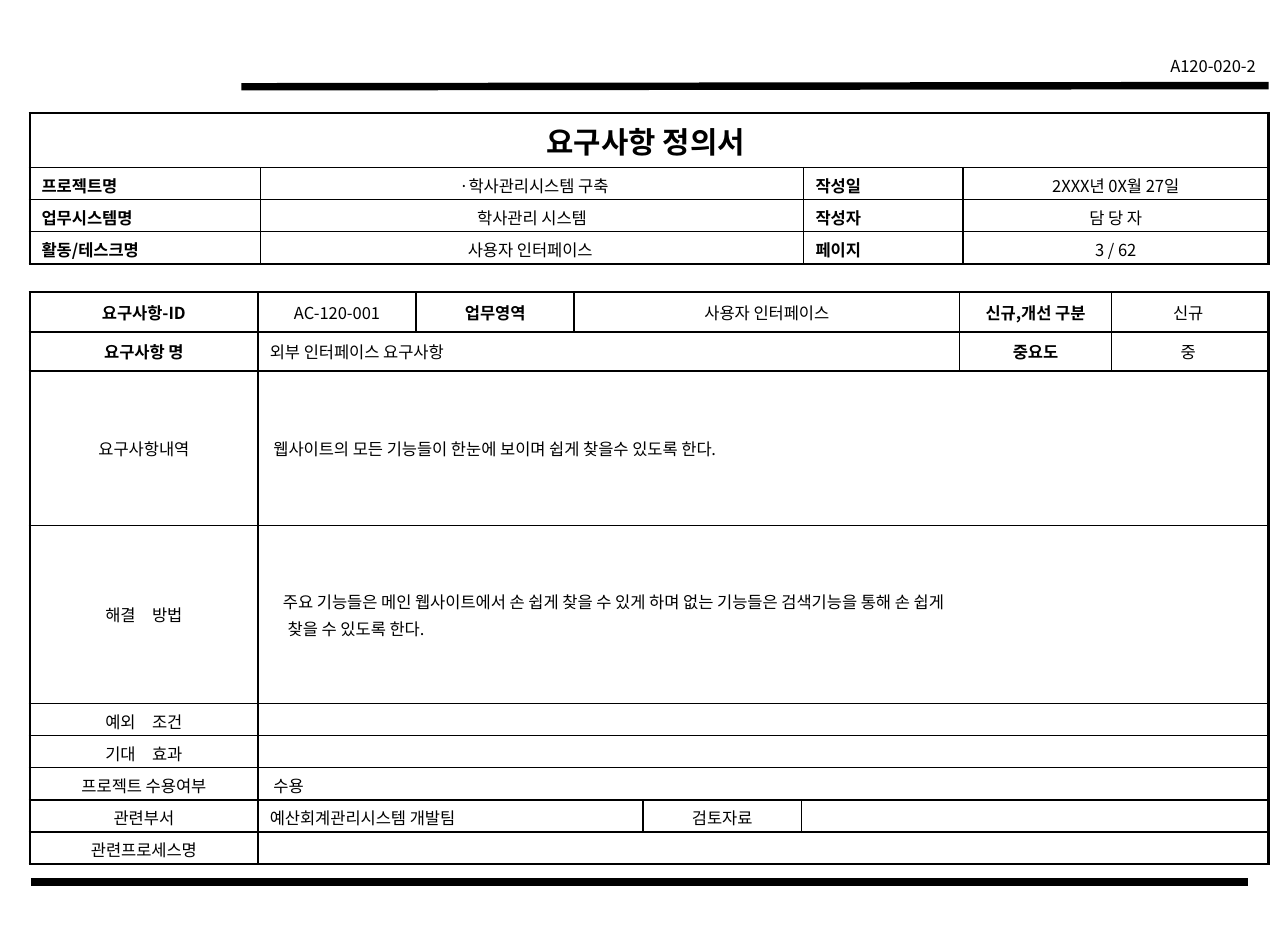
from dataclasses import dataclass

from pptx import Presentation
from pptx import util as u
from pptx.dml.color import RGBColor
from pptx.enum import shapes, text
from pptx.oxml import parse_xml
from pptx.oxml.ns import nsdecls, qn


@dataclass(frozen=True)
class Theme:
    """Colours, type sizes and line weights of the form."""
    font: str = "Noto Sans CJK KR"
    ink: str = "000000"
    title: float = 18
    body: float = 10
    thin: float = 1
    thick: float = 1.5
    bar: float = 4.5


THEME = Theme()
WIDTH, HEIGHT = u.Pt(780), u.Pt(570)
LEFT, CENTER, RIGHT, JUSTIFY = (
    text.PP_ALIGN.LEFT, text.PP_ALIGN.CENTER, text.PP_ALIGN.RIGHT, text.PP_ALIGN.JUSTIFY)
TOP, MIDDLE = text.MSO_ANCHOR.TOP, text.MSO_ANCHOR.MIDDLE

TITLE = dict(size=THEME.title, bold=True)
LABEL = dict(align=JUSTIFY, bold=True, anchor=TOP)
VALUE = dict(anchor=TOP)
HEAD = dict(bold=True)
PLAIN = dict()
NOTE = dict(align=LEFT)

HEADER_COLUMNS = [1.94, 4.57, 1.34, 2.57]
HEADER_HEIGHTS = [0.46] + [0.27] * 3
HEADER_FIELDS = [
    ("프로젝트명", " ·학사관리시스템 구축", "작성일", "2XXX년 0X월 27일"),
    ("업무시스템명 ", "학사관리 시스템", "작성자", "담 당 자"),
    ("활동/테스크명", "사용자 인터페이스 ", "페이지", "3 / 62"),
]
HEADER_ROWS = [[(4, "요구사항 정의서 ", TITLE)]] + [
    [(1, words, LABEL if column % 2 == 0 else VALUE) for column, words in enumerate(fields)]
    for fields in HEADER_FIELDS]

DETAIL_COLUMNS = [1.92, 1.33, 1.33, 0.58, 1.33, 1.33, 1.28, 1.32]
DETAIL_HEIGHTS = [0.33, 0.33, 1.3, 1.5] + [0.27] * 5
DETAIL_ROWS = [
    [(1, "요구사항-ID", HEAD), (1, "AC-120-001", PLAIN), (1, "업무영역", HEAD),
     (3, "사용자 인터페이스", PLAIN), (1, "신규,개선 구분", HEAD), (1, "신규 ", PLAIN)],
    [(1, "요구사항 명", HEAD), (5, "외부 인터페이스 요구사항", NOTE),
     (1, "중요도", HEAD), (1, "중 ", PLAIN)],
    [(1, "요구사항내역", PLAIN),
     (7, "웹사이트의 모든 기능들이 한눈에 보이며 쉽게 찾을수 있도록 한다.",
      dict(align=LEFT, indents=[0.03]))],
    [(1, "해결　방법", PLAIN),
     (7, "주요 기능들은 메인 웹사이트에서 손 쉽게 찾을 수 있게 하며 없는 기능들은 "
         "검색기능을 통해 손 쉽게\n찾을 수 있도록 한다.",
      dict(align=LEFT, indents=[0.11, 0.15]))],
    [(1, "예외　조건", PLAIN), (7, "", NOTE)],
    [(1, "기대　효과", PLAIN), (7, "", NOTE)],
    [(1, "프로젝트 수용여부", PLAIN), (7, "수용", dict(align=LEFT, indents=[0.03]))],
    [(1, "관련부서", PLAIN), (3, "예산회계관리시스템 개발팀", NOTE),
     (1, "검토자료", PLAIN), (3, "", NOTE)],
    [(1, "관련프로세스명", PLAIN), (7, "", NOTE)],
]


def write(frame, words, align=CENTER, size=THEME.body, bold=False, indents=(0,), before=0.2):
    """Write one paragraph per line of words into a text frame."""
    for index, line in enumerate(words.split("\n")):
        para = frame.paragraphs[0] if index == 0 else frame.add_paragraph()
        para.alignment = align
        para.space_before = u.Pt(size * before)
        if indents[index]:
            para._p.get_or_add_pPr().set("marL", str(u.Inches(indents[index])))
        if not line:
            para._p.get_or_add_endParaRPr().set("sz", str(int(size * 100)))
            continue
        span = para.add_run()
        span.text = line
        looks = dict(name=THEME.font, size=u.Pt(size), bold=bold)
        for name, value in looks.items():
            setattr(span.font, name, value)
        span.font.color.rgb = RGBColor.from_string(THEME.ink)
        span.font._element.set("kern", "0")
        span.font._element.find(qn("a:latin")).addnext(
            parse_xml(f'<a:ea {nsdecls("a")} typeface="{THEME.font}"/>'))


def draw_borders(cell, weights):
    """Give a cell its four border lines, ahead of its fill."""
    props = cell._tc.get_or_add_tcPr()
    for position, (side, weight) in enumerate(weights.items()):
        props.insert(position, parse_xml(
            f'<a:ln{side} {nsdecls("a")} w="{u.Pt(weight)}"><a:solidFill>'
            f'<a:srgbClr val="{THEME.ink}"/></a:solidFill></a:ln{side}>'))


def add_form(page, left, top, columns, heights, rows, heavy_rules=()):
    """Place a ruled form; heavy_rules numbers the thick inner horizontals."""
    box = [u.Inches(n) for n in (left, top, sum(columns), sum(heights))]
    table = page.shapes.add_table(len(heights), len(columns), *box).table
    table.first_row = table.horz_banding = False
    for track, length in zip(table.columns, columns):
        track.width = u.Inches(length)
    for track, length in zip(table.rows, heights):
        track.height = u.Inches(length)
    thick_rules = {0, len(heights), *heavy_rules}
    for row, entries in enumerate(rows):
        start = 0
        for width, words, style in entries:
            end = start + width
            cell = table.cell(row, start)
            if width > 1:
                cell.merge(table.cell(row, end - 1))
            style = dict(style)
            cell.vertical_anchor = style.pop("anchor", MIDDLE)
            write(cell.text_frame, words, **style)
            thick = dict(L=start == 0, R=end == len(columns),
                         T=row in thick_rules, B=row + 1 in thick_rules)
            weights = {side: THEME.thick if on else THEME.thin for side, on in thick.items()}
            for column in range(start, end):
                part = table.cell(row, column)
                part.fill.background()
                draw_borders(part, weights)
            start = end


def add_bar(page, start, end):
    """Draw a heavy black rule between two points."""
    points = [u.Inches(n) for n in (*start, *end)]
    bar = page.shapes.add_connector(shapes.MSO_CONNECTOR.STRAIGHT, *points)
    bar.line.width = u.Pt(THEME.bar)
    bar.line.color.rgb = RGBColor.from_string(THEME.ink)
    bar._element.spPr.append(parse_xml(f'<a:effectLst {nsdecls("a")}/>'))


def add_code(page, left, top, width, height):
    """Place the document code at the upper right."""
    box = page.shapes.add_textbox(*[u.Inches(n) for n in (left, top, width, height)])
    box.text_frame.word_wrap = True
    write(box.text_frame, "A120-020-2", align=RIGHT, before=0)


def main():
    """Build the requirements definition page."""
    deck = Presentation()
    deck.slide_width, deck.slide_height = WIDTH, HEIGHT
    page = deck.slides.add_slide(deck.slide_layouts[6])
    add_bar(page, (2.03, 0.73), (10.67, 0.72))
    add_code(page, 9.58, 0.42, 1.08, 0.27)
    add_bar(page, (0.26, 7.42), (10.5, 7.42))
    add_form(page, 0.25, 0.95, HEADER_COLUMNS, HEADER_HEIGHTS, HEADER_ROWS)
    add_form(page, 0.25, 2.46, DETAIL_COLUMNS, DETAIL_HEIGHTS, DETAIL_ROWS, heavy_rules=(1, 2))
    deck.save("out.pptx")


if __name__ == "__main__":
    main()
